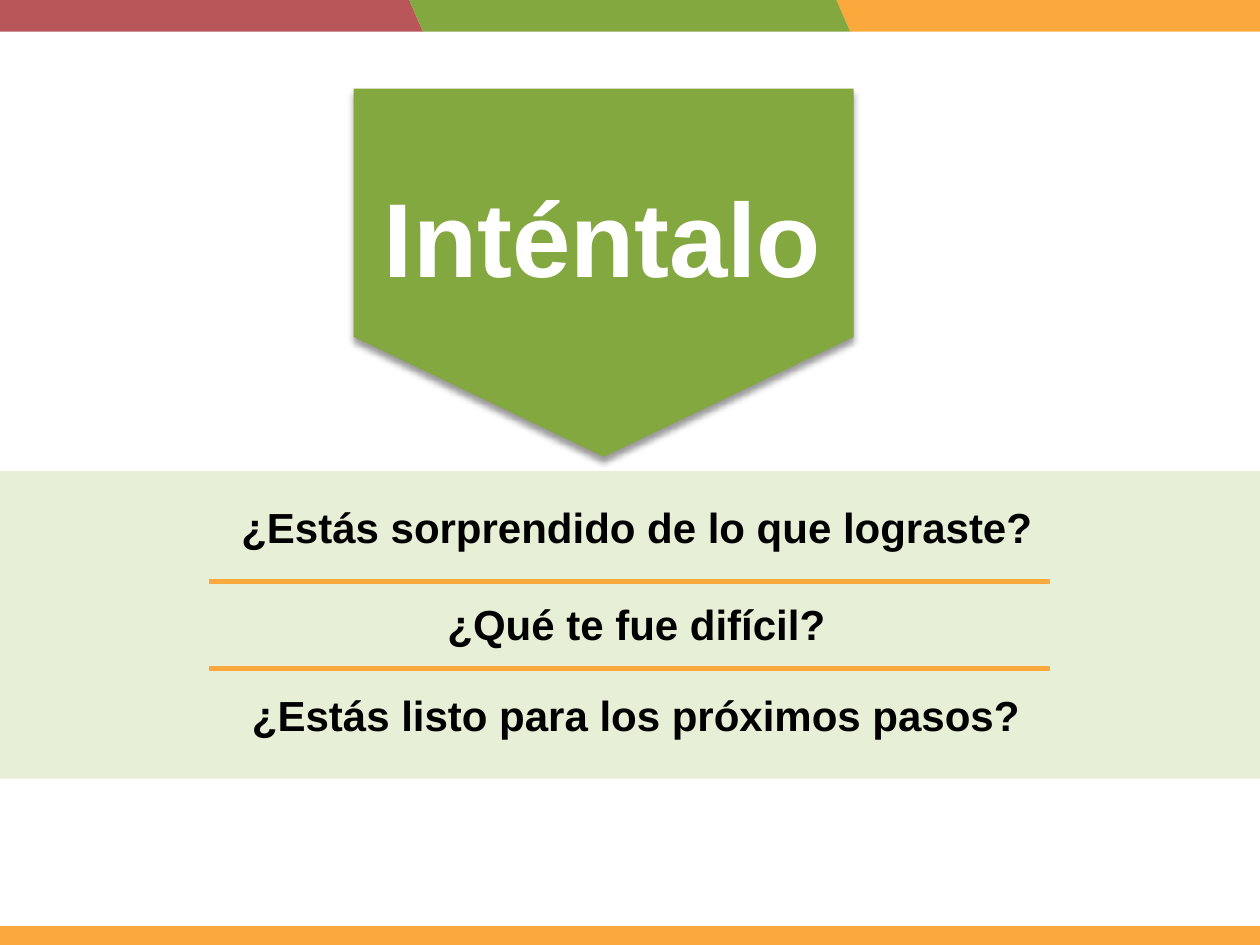
from dataclasses import dataclass

from lxml import etree
from pptx import Presentation
from pptx.dml.color import RGBColor
from pptx.enum.shapes import MSO_SHAPE
from pptx.enum.text import MSO_AUTO_SIZE, PP_ALIGN
from pptx.oxml.ns import qn
from pptx.util import Cm, Pt

PARALLELOGRAM = MSO_SHAPE.PARALLELOGRAM
RECTANGLE = MSO_SHAPE.RECTANGLE
PENTAGON = MSO_SHAPE.PENTAGON
CENTER = PP_ALIGN.CENTER
FIT_SHAPE = MSO_AUTO_SIZE.SHAPE_TO_FIT_TEXT

ORANGE, RED, GREEN = "FBA93D", "B95659", "83A83F"
PALE_GREEN, WHITE, BLACK = "E7F0D6", "FFFFFF", "000000"
NO_TABLE_STYLE = "{2D5ABB26-0587-4C30-8999-92F81FD0307C}"


@dataclass
class Area:
    """Position and size in centimetres."""
    left: float
    top: float
    width: float
    height: float

    def lengths(self) -> tuple:
        return Cm(self.left), Cm(self.top), Cm(self.width), Cm(self.height)


@dataclass
class Label:
    text: str
    area: Area
    size: int = 24
    color: str = BLACK


def rgb(value: str) -> RGBColor:
    return RGBColor.from_string(value)


def add_block(page, kind, area: Area, color: str, adjustment: float | None = None):
    block = page.shapes.add_shape(kind, *area.lengths())
    block.shadow.inherit = False
    block.fill.solid()
    block.fill.fore_color.rgb = rgb(color)
    block.line.fill.background()
    if adjustment is not None:
        block.adjustments[0] = adjustment
    return block


def add_label(page, label: Label) -> None:
    frame = page.shapes.add_textbox(*label.area.lengths()).text_frame
    frame.word_wrap = True
    frame.auto_size = FIT_SHAPE
    paragraph = frame.paragraphs[0]
    paragraph.text = label.text
    paragraph.alignment = CENTER
    paragraph.font.name = "Arial"
    paragraph.font.size = Pt(label.size)
    paragraph.font.bold = True
    paragraph.font.color.rgb = rgb(label.color)


def add_color(parent, color: str):
    fill = etree.SubElement(parent, qn("a:solidFill"))
    return etree.SubElement(fill, qn("a:srgbClr"), val=color)


def add_drop_shadow(block) -> None:
    effects = block._element.spPr.find(qn("a:effectLst"))
    shadow = etree.SubElement(
        effects, qn("a:outerShdw"), blurRad=str(Pt(4)), dist=str(Pt(3)),
        dir="5400000", algn="t", rotWithShape="0")
    color = etree.SubElement(shadow, qn("a:srgbClr"), val=BLACK)
    etree.SubElement(color, qn("a:alpha"), val="40000")


def add_ruled_table(page, area: Area, rows: int) -> None:
    table = page.shapes.add_table(rows, 1, *area.lengths()).table
    table.first_row = table.horz_banding = False
    table._tbl.tblPr.find(qn("a:tableStyleId")).text = NO_TABLE_STYLE
    for index in range(rows):
        cell = table.cell(index, 0)
        properties = cell._tc.get_or_add_tcPr()
        for side, inner in (("a:lnT", index > 0), ("a:lnB", index < rows - 1)):
            if inner:
                line = etree.SubElement(properties, qn(side), w=str(Pt(3)))
                add_color(line, ORANGE)
        cell.fill.background()


def main() -> None:
    deck = Presentation()
    deck.slide_width, deck.slide_height = Cm(25.4), Cm(19.05)
    page = deck.slides.add_slide(deck.slide_layouts[6])

    # Coloured strips along the top and bottom edges
    for index, color in ((2, ORANGE), (0, RED), (1, GREEN)):
        strip = add_block(page, PARALLELOGRAM,
                          Area(-0.36 + 8.61 * index, 0, 8.89, 0.64), color, 0.436)
        strip._element.spPr.find(qn("a:xfrm")).set("flipH", "1")
    add_block(page, RECTANGLE, Area(0, 18.67, 25.4, 0.38), ORANGE)

    # Pale band behind the questions
    add_block(page, RECTANGLE, Area(0, 9.5, 25.4, 6.2), PALE_GREEN)

    # Downward banner with the title
    banner = add_block(page, PENTAGON, Area(8.46, 0.46, 7.42, 10.08), GREEN, 0.326)
    banner.rotation = 90
    add_drop_shadow(banner)
    add_label(page, Label("Inténtalo", Area(7.11, 3.35, 10.08, 2.82), 60, WHITE))

    # Questions over the ruled table
    add_ruled_table(page, Area(4.22, 9.96, 16.94, 5.28), 3)
    questions = (
        Label("¿Estás sorprendido de lo que lograste?", Area(4.37, 9.98, 16.94, 1.27)),
        Label("¿Qué te fue difícil?", Area(7.75, 11.94, 10.16, 1.27)),
        Label("¿Estás listo para los próximos pasos?", Area(1.24, 13.77, 23.16, 1.27)),
    )
    for question in questions:
        add_label(page, question)

    deck.save("out.pptx")


if __name__ == "__main__":
    main()
